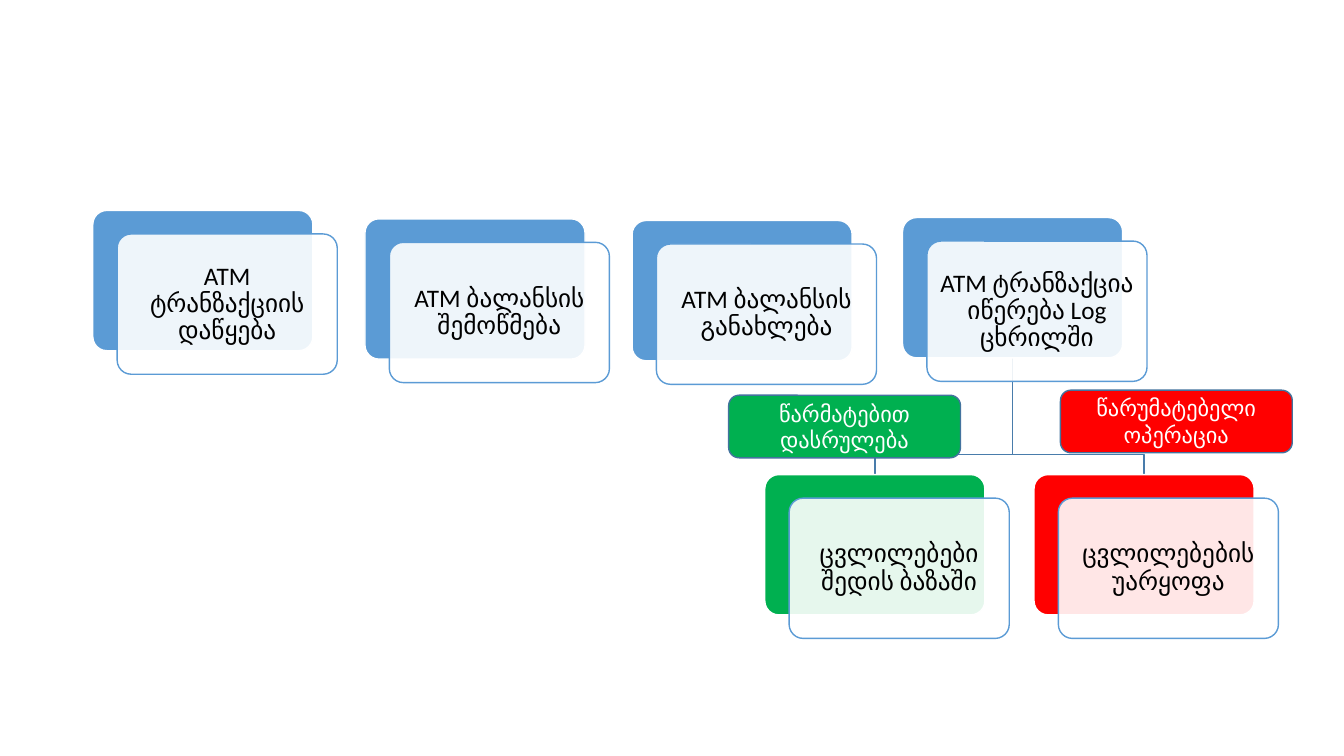
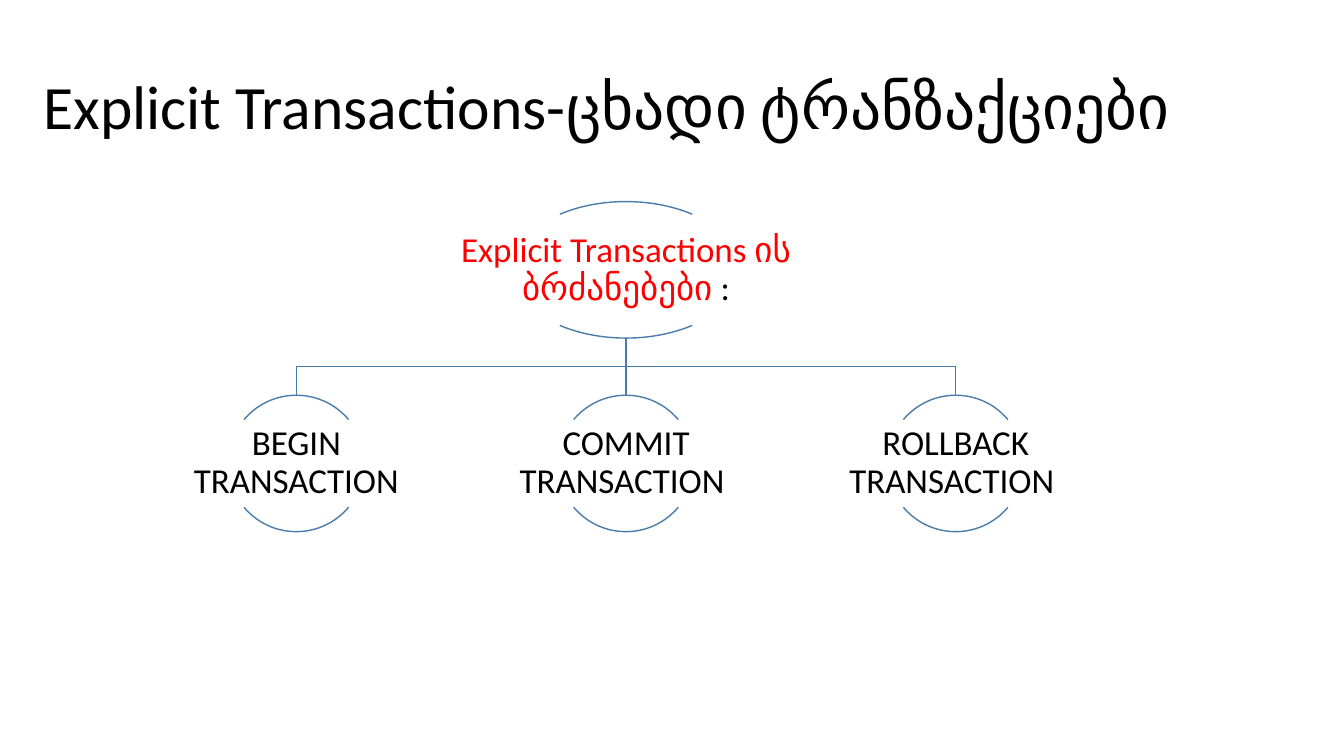
from collections import namedtuple

from lxml.etree import SubElement
from pptx import Presentation
from pptx.dml.color import RGBColor
from pptx.enum.shapes import MSO_CONNECTOR, MSO_SHAPE
from pptx.enum.text import MSO_ANCHOR, PP_ALIGN
from pptx.oxml.ns import qn
from pptx.util import Inches, Pt

COLORS = {"blue": "5B9BD5", "tree": "497CAB", "edge": "43739E", "green": "00B050",
          "red": "FF0000", "white": "FFFFFF", "black": "000000"}
FONT = "Calibri"
WIDTH, HEIGHT = Inches(13.333), Inches(7.5)
COLUMNS = 160
CARD_WIDTH, CARD_HEIGHT = 26.2, 16.7
LABEL_WIDTH, LABEL_HEIGHT = 27.6, 7.45
NODE_SIZE = 16.25

STEPS = [(11.05, 25.05, "ATM ტრანზაქციის დაწყება"),
         (43.45, 26.05, "ATM ბალანსის შემოწმება"),
         (75.25, 26.25, "ATM ბალანსის განახლება"),
         (107.45, 25.9, "ATM ტრანზაქცია იწერება Log ცხრილში")]
OUTCOMES = [(91.05, 56.5, "ცვლილებები შედის ბაზაში", "green"),
            (123.1, 56.5, "ცვლილებების უარყოფა", "red")]
LABELS = [(86.75, 47.05, "წარმატებით დასრულება", "green"),
          (126.25, 46.45, "წარუმატებელი ოპერაცია", "red")]
COMMANDS = ["BEGIN TRANSACTION", "COMMIT TRANSACTION ", "ROLLBACK TRANSACTION "]


class Box(namedtuple("Box", "left top width height")):
    """A rectangle measured in grid cells."""

    @property
    def center(self):
        """Return the horizontal middle."""
        return self.left + self.width / 2

    @property
    def bottom(self):
        """Return the lower edge."""
        return self.top + self.height

    def inset(self, margin):
        """Return the box shrunk on all sides."""
        return Box(self.left + margin, self.top + margin,
                   self.width - 2 * margin, self.height - 2 * margin)

    def lengths(self):
        """Return the four slide lengths."""
        return [cells(value) for value in self]


def cells(count):
    """Turn grid cells into a slide length."""
    return round(count * WIDTH / COLUMNS)


def color(name):
    """Look up a named colour."""
    return RGBColor.from_string(COLORS[name])


def set_line(shape, name):
    """Give a shape or connector a one point line."""
    shape.line.color.rgb = color(name)
    shape.line.width = Pt(1)


def add_figure(page, kind, box, line, fill=None, adjustments=()):
    """Add a flat preset shape."""
    shape = page.shapes.add_shape(kind, *box.lengths())
    shape.shadow.inherit = False
    for index, value in enumerate(adjustments):
        shape.adjustments[index] = value
    if fill:
        shape.fill.solid()
        shape.fill.fore_color.rgb = color(fill)
    else:
        shape.fill.background()
    set_line(shape, line)
    return shape


def write(shape, spans, size, align=PP_ALIGN.CENTER, spacing=0.9, inset=None):
    """Fill a shape with one paragraph of coloured spans."""
    frame = shape.text_frame
    frame.word_wrap = True
    frame.vertical_anchor = MSO_ANCHOR.MIDDLE
    if inset is not None:
        frame.margin_left = frame.margin_right = Inches(inset)
        frame.margin_top = frame.margin_bottom = Inches(inset)
    para = frame.paragraphs[0]
    para.alignment = align
    para.line_spacing = spacing
    para.font.size = Pt(size)
    para.font.name = FONT
    for text, name in spans:
        span = para.add_run()
        span.text = text
        span.font.color.rgb = color(name)


def add_text(page, box, spans, size, **style):
    """Add a text box."""
    write(page.shapes.add_textbox(*box.lengths()), spans, size, **style)


def add_branch(page, parent, child, bend):
    """Link a parent box to a child box below it."""
    start = cells(parent.center), cells(parent.bottom)
    end = cells(child.center), cells(child.top)
    if abs(start[0] - end[0]) < cells(0.1):
        link = page.shapes.add_connector(MSO_CONNECTOR.STRAIGHT, *start, start[0], end[1])
        set_line(link, "tree")
        SubElement(link._element.spPr, qn("a:effectLst"))
        return
    middle = round(start[1] + (end[1] - start[1]) * bend)
    builder = page.shapes.build_freeform(*start)
    builder.add_line_segments([(start[0], middle), (end[0], middle), end], close=False)
    link = builder.convert_to_shape()
    link.shadow.inherit = False
    link.fill.background()
    set_line(link, "tree")


def add_card(page, box, text, fill):
    """Add a coloured card with a translucent text panel over it."""
    add_figure(page, MSO_SHAPE.ROUNDED_RECTANGLE, box, "white", fill, [0.1])
    panel_box = box._replace(left=box.left + 2.9, top=box.top + 2.8)
    panel = add_figure(page, MSO_SHAPE.ROUNDED_RECTANGLE, panel_box, "blue", "white", [0.1])
    tint = panel._element.spPr.find(qn("a:solidFill")).find(qn("a:srgbClr"))
    SubElement(tint, qn("a:alpha"), val="90000")
    add_text(page, panel_box.inset(0.5), [(text, "black")], 18, inset=0.07)


def add_node(page, box, spans):
    """Add text held between an upper and a lower arc."""
    for angles in ((132, 192), (24, 84)):
        add_figure(page, MSO_SHAPE.ARC, box, "tree", adjustments=angles)
    text_box = Box(box.left - box.width / 2, box.top + 0.18 * box.height,
                   2 * box.width, 0.64 * box.height)
    add_text(page, text_box, spans, 25, inset=0.02)


def build_process(page):
    """Build the transaction flow with its two outcomes."""
    steps = [(Box(left, top, CARD_WIDTH, CARD_HEIGHT), text, "blue")
             for left, top, text in STEPS]
    outcomes = [(Box(left, top, CARD_WIDTH, CARD_HEIGHT), text, fill)
                for left, top, text, fill in OUTCOMES]
    for box, _, _ in reversed(outcomes):
        add_branch(page, steps[-1][0], box, 0.83)
    for card in steps + outcomes:
        add_card(page, *card)
    for left, top, text, fill in LABELS:
        label = add_figure(page, MSO_SHAPE.ROUNDED_RECTANGLE,
                           Box(left, top, LABEL_WIDTH, LABEL_HEIGHT), "edge", fill)
        write(label, [(text, "white")], 16, spacing=1.0)


def build_commands(page):
    """Build the titled tree of transaction commands."""
    add_text(page, Box(4, 4.3, 145, 17.4),
             [("Explicit Transactions-ცხადი ტრანზაქციები", "black")], 44, align=PP_ALIGN.LEFT)
    root = Box(60.95, 24, 27.15, NODE_SIZE)
    children = [Box(27.15 + 39.25 * index, 47.05, NODE_SIZE, NODE_SIZE)
                for index in range(len(COMMANDS))]
    for child in children:
        add_branch(page, root, child, 0.5)
    add_node(page, root, [("Explicit Transactions ის ბრძანებები ", "red"), (":", "black")])
    for child, text in zip(children, COMMANDS):
        add_node(page, child, [(text, "black")])


def main():
    """Build and save the deck."""
    deck = Presentation()
    deck.slide_width, deck.slide_height = WIDTH, HEIGHT
    for build in (build_process, build_commands):
        build(deck.slides.add_slide(deck.slide_layouts[6]))
    deck.save("out.pptx")


if __name__ == "__main__":
    main()
